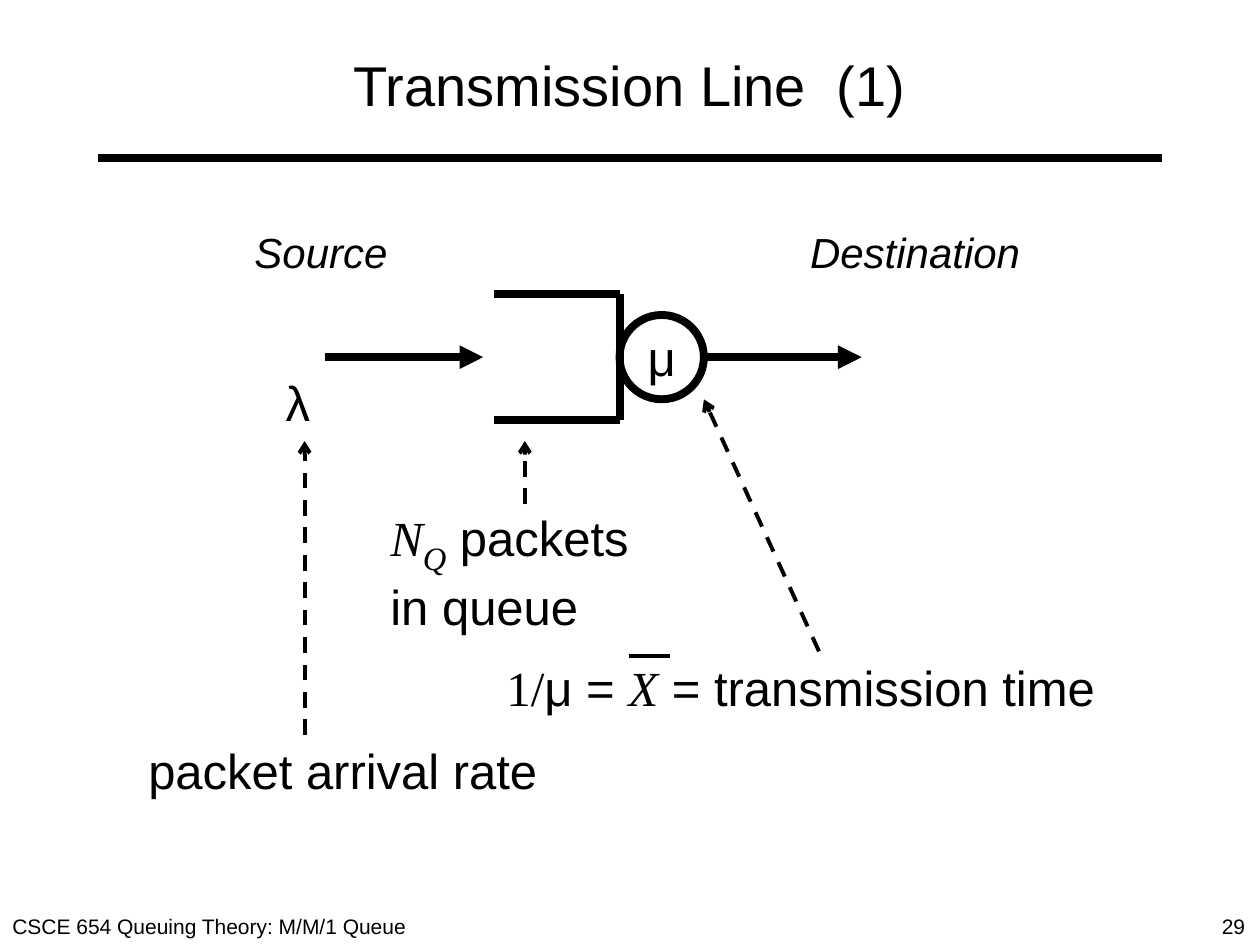
from lxml.etree import SubElement
from pptx import Presentation
from pptx.dml.color import RGBColor
from pptx.enum.dml import MSO_LINE as Dash
from pptx.enum.shapes import MSO_CONNECTOR as Link, MSO_SHAPE as Shape
from pptx.enum.text import MSO_ANCHOR as Anchor, PP_ALIGN as Align
from pptx.oxml.ns import qn
from pptx.util import Cm, Pt

BLACK = RGBColor(0, 0, 0)
SANS, SERIF = "Arial", "Times New Roman"
THICK, THIN = 4.5, 2.25

# Queue geometry in cm
MID = 7.2            # height of the flow line
HALF = 1.27          # half the height of the queue
LEFT, WALL = 9.95, 12.49
DIAM = 1.7           # server circle
EXIT = WALL + DIAM
ARROW = 3.18
TOP, BASE = MID - HALF, MID + HALF
TIP = 8.89           # where the upright pointers end


def run(text, size=28, face=SANS, italic=False, base=0):
    return text, size, face, italic, base


# left, top, width, height, wrap, lines of runs
TEXTS = [
    (0, 18.29, 10.36, 0.76, True, [[run("CSCE 654 Queuing Theory: M/M/1 Queue", 12)]]),
    (24.38, 18.29, 1.02, 0.76, False, [[run("29", 12)]]),
    (4.88, 4.45, 3.2, 1.27, False, [[run("Source", 24, italic=True)]]),
    (16.08, 4.45, 4.75, 1.27, False, [[run("Destination", 24, italic=True)]]),
    (5.51, 7.39, 1.04, 1.45, False, [[run("λ")]]),
    (2.74, 14.81, 8.38, 1.45, False, [[run("packet arrival rate")]]),
    (7.62, 9.96, 5.49, 2.62, False, [
        [run("N", 28, SERIF, True), run("Q", 32, SERIF, True, -25), run(" packets")],
        [run("in queue")]]),
    (9.96, 13.13, 12.52, 1.45, False, [
        [run("1/", face=SERIF), run("μ = "), run("X", face=SERIF, italic=True),
         run(" = transmission time")]]),
]
TITLE = (1.27, 0.43, 22.86, 2.54, True, [[run("Transmission Line  (1)", 32)]])

# x1, y1, x2, y2, width, arrowhead, dashed
LINES = [
    (1.98, 3.18, 23.42, 3.18, THICK, None, False),             # title rule
    (6.56, MID, 6.56 + ARROW, MID, THICK, "triangle", False),  # arrivals
    (LEFT, TOP, WALL, TOP, THICK, None, False),
    (LEFT, BASE, WALL, BASE, THICK, None, False),
    (WALL, BASE, WALL, TOP, THICK, None, False),
    (EXIT, MID, EXIT + ARROW, MID, THICK, "triangle", False),  # departures
    (6.14, 14.82, 6.14, TIP, THIN, "arrow", True),
    (10.58, 10.16, 10.58, TIP, THIN, "arrow", True),
    (16.51, 13.13, EXIT, 8.05, THIN, "arrow", True),
    (12.67, 13.23, 13.51, 13.23, THIN, None, False),           # bar over X
]


def fill(frame, lines, align=Align.LEFT):
    para = frame.paragraphs[0]
    para.alignment = align
    for row, runs in enumerate(lines):
        if row:
            para.add_line_break()
        for text, size, face, italic, base in runs:
            part = para.add_run()
            part.text = text
            font = part.font
            font.size, font.name, font.italic = Pt(size), face, italic
            font.color.rgb = BLACK
            if base:
                part._r.get_or_add_rPr().set("baseline", str(base * 1000))


def write(shapes, left, top, width, height, wrap, lines, align=Align.LEFT):
    box = shapes.add_textbox(Cm(left), Cm(top), Cm(width), Cm(height))
    box.text_frame.word_wrap = wrap
    fill(box.text_frame, lines, align)
    return box


def draw(shapes, x1, y1, x2, y2, width, head, dashed):
    link = shapes.add_connector(Link.STRAIGHT, Cm(x1), Cm(y1), Cm(x2), Cm(y2))
    link.line.color.rgb = BLACK
    link.line.width = Pt(width)
    if dashed:
        link.line.dash_style = Dash.DASH
    if head:
        SubElement(link.line._get_or_add_ln(), qn("a:tailEnd"), type=head)
    SubElement(link._element.spPr, qn("a:effectLst"))


def serve(shapes):
    """Draw the server circle at the end of the queue."""
    disc = shapes.add_shape(Shape.OVAL, Cm(WALL), Cm(MID - DIAM / 2), Cm(DIAM), Cm(DIAM))
    disc.shadow.inherit = False
    disc.fill.background()
    disc.line.color.rgb = BLACK
    disc.line.width = Pt(THICK)
    frame = disc.text_frame
    frame.word_wrap = False
    frame.vertical_anchor = Anchor.MIDDLE
    fill(frame, [[run("μ")]], Align.CENTER)


def main():
    deck = Presentation()
    deck.slide_width, deck.slide_height = Cm(25.4), Cm(19.05)
    shapes = deck.slides.add_slide(deck.slide_layouts[6]).shapes
    title = write(shapes, *TITLE, align=Align.CENTER)
    title.text_frame.vertical_anchor = Anchor.MIDDLE
    for line in LINES:
        draw(shapes, *line)
    serve(shapes)
    for text in TEXTS:
        write(shapes, *text)
    deck.save("out.pptx")


if __name__ == "__main__":
    main()
